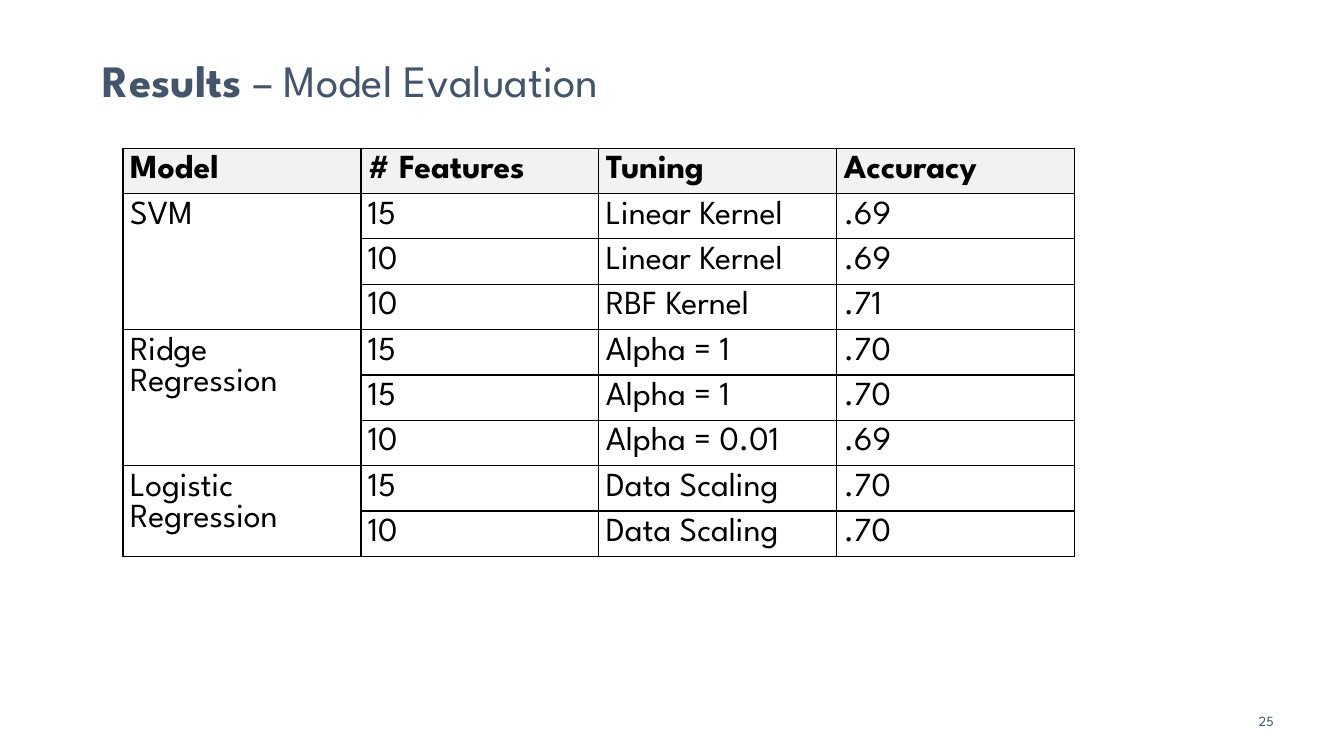
"""Build the model evaluation results slide."""
from dataclasses import dataclass

from lxml.etree import SubElement
from pptx import Presentation
from pptx.dml.color import RGBColor
from pptx.enum.text import MSO_ANCHOR as Anchor, MSO_AUTO_SIZE as AutoSize, PP_ALIGN as Align
from pptx.oxml.ns import qn
from pptx.slide import Slide
from pptx.table import _Cell as Cell
from pptx.util import Inches, Pt

COLORS = {"heading": "44546A", "text": "000000", "header": "F2F2F2", "border": "000000"}
FONT = "League Spartan"
COLUMNS = ("Model", "# Features", "Tuning", "Accuracy")
COLUMN_WIDTH, ROW_HEIGHT, CELL_MARGIN = 2.36, 0.45, 0.07
BORDER_WIDTH = 1


@dataclass(frozen=True)
class ModelResult:
    name: str
    trials: tuple[tuple[str, str, str], ...]


RESULTS = (
    ModelResult("SVM", (
        ("15", "Linear Kernel", ".69"),
        ("10", "Linear Kernel", ".69"),
        ("10", "RBF Kernel", ".71"),
    )),
    ModelResult("Ridge Regression", (
        ("15", "Alpha = 1", ".70"),
        ("15", "Alpha = 1", ".70"),
        ("10", "Alpha = 0.01", ".69"),
    )),
    ModelResult("Logistic Regression", (
        ("15", "Data Scaling", ".70"),
        ("10", "Data Scaling", ".70"),
    )),
)


def apply_format(target: object, values: dict[str, object]) -> None:
    for attribute, value in values.items():
        setattr(target, attribute, value)


def add_run(paragraph, text: str, size: float, color: str, bold: bool = False) -> None:
    run = paragraph.add_run()
    run.text = text
    apply_format(run.font, {"name": FONT, "size": Pt(size), "bold": bold})
    run.font.color.rgb = RGBColor.from_string(COLORS[color])


def format_cell(cell: Cell, is_header: bool) -> None:
    apply_format(cell, {
        f"margin_{side}": Inches(CELL_MARGIN) for side in ("left", "top", "right", "bottom")
    })
    properties = cell._tc.get_or_add_tcPr()
    for edge in ("a:lnL", "a:lnR", "a:lnT", "a:lnB"):
        border = SubElement(properties, qn(edge), w=str(Pt(BORDER_WIDTH)))
        border_fill = SubElement(border, qn("a:solidFill"))
        SubElement(border_fill, qn("a:srgbClr"), val=COLORS["border"])
    if is_header:
        cell.fill.solid()
        cell.fill.fore_color.rgb = RGBColor.from_string(COLORS["header"])
    else:
        cell.fill.background()


def write_cell(cell: Cell, text: str, bold: bool = False) -> None:
    add_run(cell.text_frame.paragraphs[0], text, 24, "text", bold)


def add_heading(slide: Slide) -> None:
    heading = slide.shapes.title
    apply_format(heading, {
        "left": Inches(0.92), "top": Inches(0.4),
        "width": Inches(12.21), "height": Inches(0.84),
    })
    apply_format(heading.text_frame, {
        "vertical_anchor": Anchor.MIDDLE, "word_wrap": True, "auto_size": AutoSize.NONE,
    })
    line = heading.text_frame.paragraphs[0]
    apply_format(line, {"alignment": Align.LEFT, "line_spacing": 0.9})
    add_run(line, "Results", 32, "heading", bold=True)
    add_run(line, " – Model Evaluation", 32, "heading")


def add_results(slide: Slide) -> None:
    row_count = 1 + sum(len(result.trials) for result in RESULTS)
    evaluation = slide.shapes.add_table(
        row_count, len(COLUMNS), Inches(1.22), Inches(1.47),
        Inches(COLUMN_WIDTH * len(COLUMNS)), Inches(ROW_HEIGHT * row_count),
    ).table
    apply_format(evaluation, {"first_row": False, "horz_banding": False})
    for row in range(row_count):
        for column in range(len(COLUMNS)):
            format_cell(evaluation.cell(row, column), row == 0)
    for column, label in enumerate(COLUMNS):
        write_cell(evaluation.cell(0, column), label, bold=True)
    first_row = 1
    for result in RESULTS:
        last_row = first_row + len(result.trials) - 1
        model = evaluation.cell(first_row, 0)
        model.merge(evaluation.cell(last_row, 0))
        write_cell(model, result.name)
        for row, trial in enumerate(result.trials, first_row):
            for column, value in enumerate(trial, 1):
                write_cell(evaluation.cell(row, column), value)
        first_row = last_row + 1


def add_page_number(slide: Slide) -> None:
    page_number = slide.shapes.add_textbox(
        Inches(9.42), Inches(6.95), Inches(3.31), Inches(0.4)
    ).text_frame
    apply_format(page_number, {"word_wrap": True, "vertical_anchor": Anchor.MIDDLE})
    page_number.paragraphs[0].alignment = Align.RIGHT
    add_run(page_number.paragraphs[0], "25", 10, "heading")


def main() -> None:
    deck = Presentation()
    apply_format(deck, {"slide_width": Inches(13.33), "slide_height": Inches(7.5)})
    slide = deck.slides.add_slide(deck.slide_layouts.get_by_name("Title Only"))
    add_heading(slide)
    add_results(slide)
    add_page_number(slide)
    deck.save("out.pptx")


if __name__ == "__main__":
    main()
